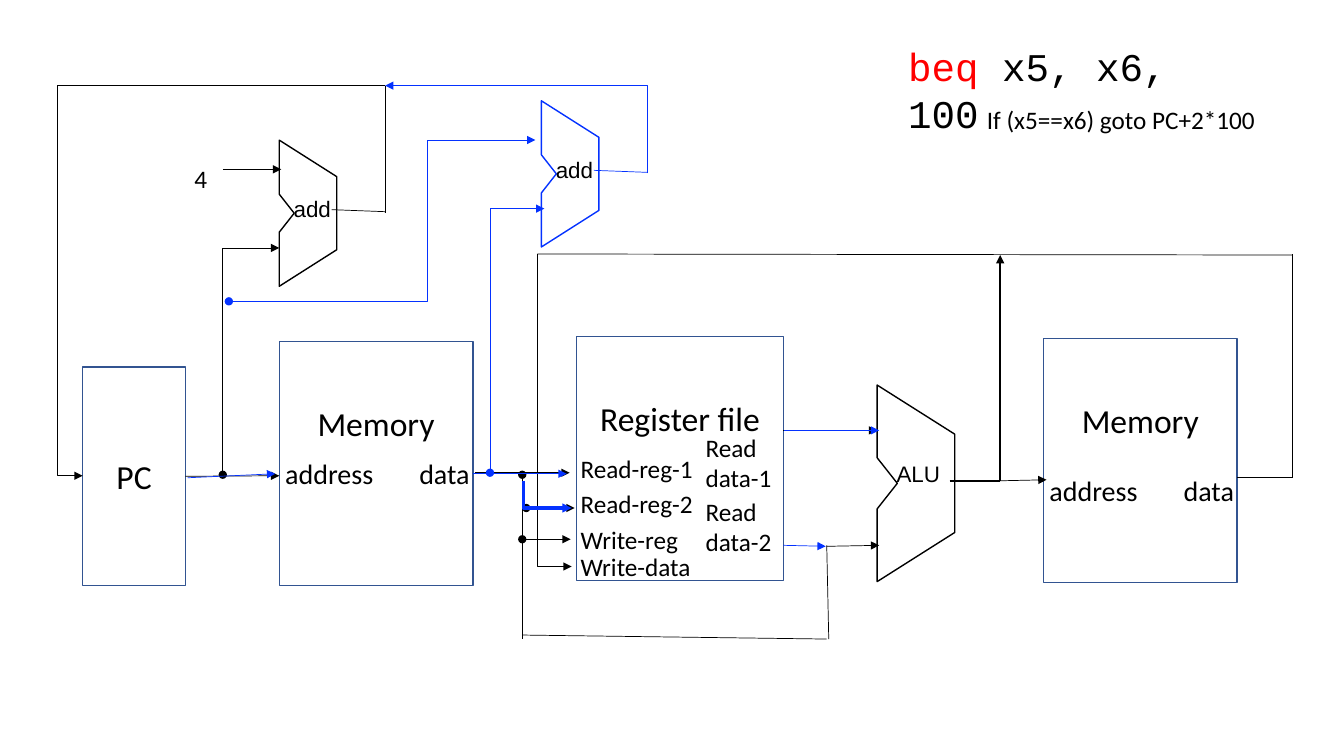
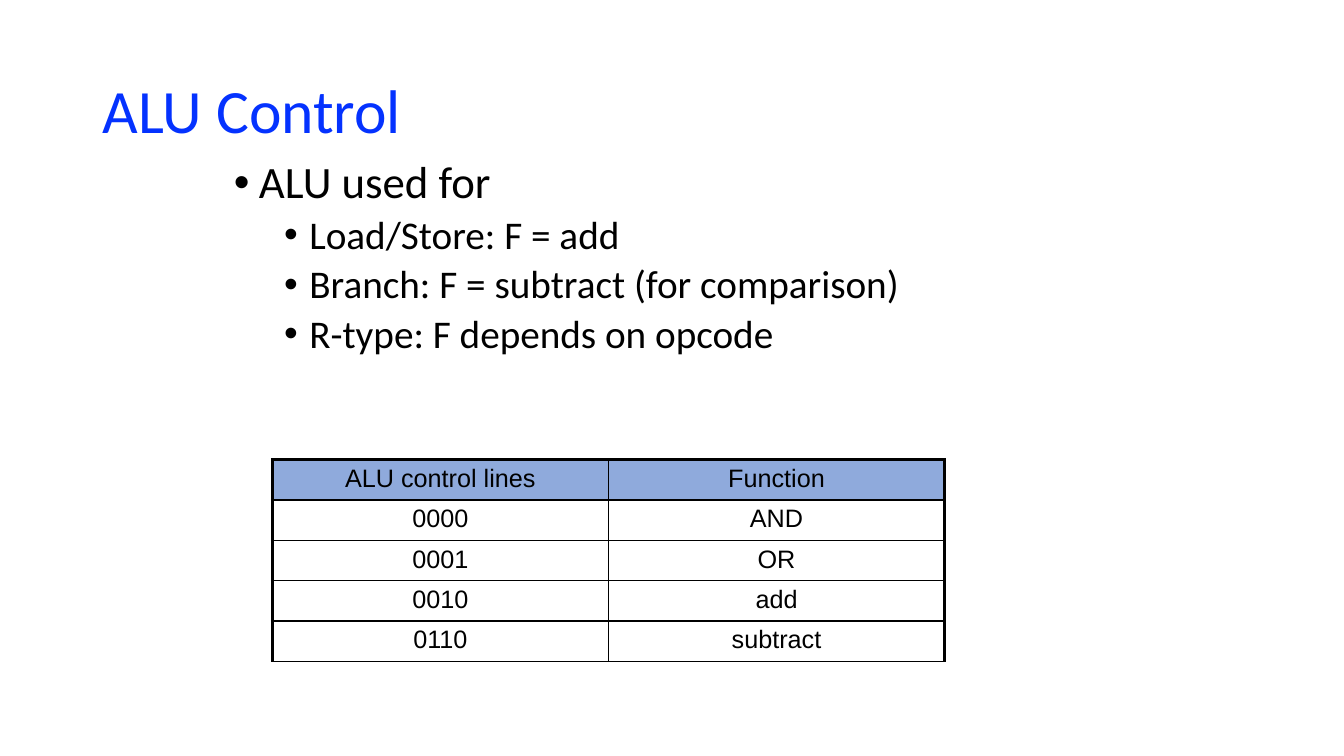
from dataclasses import dataclass

from pptx import Presentation
from pptx.dml.color import RGBColor
from pptx.enum.shapes import MSO_CONNECTOR as CONN, MSO_SHAPE as SHAPE
from pptx.enum.text import MSO_ANCHOR as ANCHOR, PP_ALIGN as ALIGN
from pptx.oxml.ns import qn
from pptx.util import Inches, Pt
from lxml.etree import SubElement


@dataclass(frozen=True)
class Theme:
    black: str = "000000"
    white: str = "FFFFFF"
    red: str = "FF0000"
    blue: str = "0432FF"
    outline: str = "325491"
    header: str = "8FAADC"
    body: str = "Calibri"
    sans: str = "Arial"
    mono: str = "Courier New"
    title: int = 44
    bullet: int = 32
    sub_bullet: int = 28
    block: int = 24
    port: int = 20
    label: int = 18
    unit: int = 16
    thin: float = 0.5
    medium: float = 1
    bold: float = 1.5
    heavy: float = 2.25


T = Theme()


def rgb(value):
    return RGBColor.from_string(value)


def write(tf, paras, size=T.label, font=T.body, color=T.black, align=None,
          spacing=None):
    """Fill a frame; each paragraph is a string or a list of (text, color)."""
    for i, para in enumerate(paras):
        p = tf.paragraphs[0] if i == 0 else tf.add_paragraph()
        p.alignment = align
        p.line_spacing = spacing
        for text, shade in [(para, color)] if isinstance(para, str) else para:
            r = p.add_run()
            r.text = text
            r.font.size, r.font.name = Pt(size), font
            r.font.color.rgb = rgb(shade)


def text(s, x, y, w, h, *paras, wrap=False, inset=True, anchor=ANCHOR.TOP,
         **fmt):
    tf = s.shapes.add_textbox(*map(Inches, (x, y, w, h))).text_frame
    tf.word_wrap, tf.vertical_anchor = wrap, anchor
    if not inset:
        tf.margin_left = tf.margin_right = tf.margin_top = tf.margin_bottom = 0
    write(tf, paras, **fmt)
    return tf


def block(s, x, y, w, h, label, raise_by=0):
    """White box with a centred label, lifted by a deeper bottom inset."""
    sp = s.shapes.add_shape(SHAPE.RECTANGLE, *map(Inches, (x, y, w, h)))
    sp.shadow.inherit = False
    sp.fill.solid()
    sp.fill.fore_color.rgb = rgb(T.white)
    sp.line.color.rgb, sp.line.width = rgb(T.outline), Pt(T.medium)
    tf = sp.text_frame
    tf.vertical_anchor = ANCHOR.MIDDLE
    tf.margin_bottom = Inches(0.05 + raise_by)
    write(tf, [label], size=T.block, align=ALIGN.CENTER)
    return sp


def wire(s, start, end, via=None, ends="", color=T.black, width=T.thin):
    """Line, or elbow with its upright at x = via; ends: o dot, > arrow."""
    kind = CONN.STRAIGHT if via is None else CONN.ELBOW
    c = s.shapes.add_connector(kind, *map(Inches, (*start, *end)))
    c.line.color.rgb, c.line.width = rgb(color), Pt(width)
    props = c._element.spPr
    if via is not None:
        share = (via - start[0]) / (end[0] - start[0])
        guides = props.find(qn("a:prstGeom")).get_or_add_avLst()
        SubElement(guides, qn("a:gd"), name="adj1",
                   fmla=f"val {round(share * 100000)}")
    ln = c.line._get_or_add_ln()
    for mark, tag, shape in (("o", "a:headEnd", "oval"),
                             (">", "a:tailEnd", "triangle")):
        if mark in ends:
            SubElement(ln, qn(tag), type=shape)
    SubElement(props, qn("a:effectLst"))
    return c


def wires(s, x, y, rows, **fmt):
    """Draw (x1, y1, x2, y2, ends, via) rows relative to the corner x, y."""
    for x1, y1, x2, y2, ends, via in rows:
        wire(s, (x + x1, y + y1), (x + x2, y + y2),
             None if via is None else x + via, ends, **fmt)


def arithmetic_unit(s, x, y, w, h, label, color=T.black):
    outline = [(0, 0), (1, 0.25), (1, 0.75), (0, 1), (0, 0.63), (0.26, 0.5),
               (0, 0.37)]
    pts = [(Inches(x + w * u), Inches(y + h * v)) for u, v in outline]
    fb = s.shapes.build_freeform(*pts[0])
    fb.add_line_segments(pts[1:], close=True)
    sp = fb.convert_to_shape()
    sp.shadow.inherit = False
    sp.fill.background()
    sp.line.color.rgb, sp.line.width = rgb(color), Pt(T.medium)
    text(s, x + w * 0.25, y + h * 0.38, 0.53, 0.27, label, inset=False,
         size=T.unit, font=T.sans)


def memory(s, x, y, port_y):
    block(s, x, y, 1.92, 2.42, "Memory", raise_by=0.81)
    text(s, x - 0.04, y + port_y, 1.09, 0.44, "address", size=T.port)
    text(s, x + 1.29, y + port_y, 0.71, 0.44, "data", size=T.port)


def register_file(s, x, y):
    block(s, x, y, 2.05, 2.42, "Register file", raise_by=0.81)
    for dy, name in ((1.11, "Read-reg-1"), (1.46, "Read-reg-2"),
                     (1.81, "Write-reg"), (2.08, "Write-data")):
        w = {"Write-reg": 1.18}.get(name, 1.33)
        text(s, x - 0.06, y + dy, w, 0.4, name)
    for dy, name in ((0.9, "data-1"), (1.53, "data-2")):
        text(s, x + 1.18, y + dy, 0.86, 0.71, "Read", name)


def fetch(s, x, y):
    """Program counter, instruction memory and the adder for the next PC."""
    pc = block(s, x + 0.25, y + 2.79, 1.02, 2.17, "PC")
    memory(s, x + 2.2, y + 2.54, 1.09)
    text(s, x + 1.26, y + 0.72, 0.33, 0.4, "4")
    arithmetic_unit(s, x + 2.2, y + 0.54, 0.57, 1.45, "add")
    wire(s, (x + 1.27, y + 3.87), (x + 2.2, y + 3.87),
         ends=">").begin_connect(pc, 3)
    wires(s, x, y, [
        (1.64, 3.86, 2.2, 1.61, "o>", 1.64),
        (1.64, 0.83, 2.22, 0.83, ">", None),
        (2.72, 1.23, 3.25, 1.25, "", None),
        (3.25, 1.26, 3.25, 0, "", None),
        (3.25, 0, 0.25, 3.87, ">", 0),
    ])
    wires(s, x, y, [(1.29, 3.89, 2.16, 3.85, ">", None)], color=T.blue)


def execute(s, x, y):
    """Registers, ALU and data memory, with the write-back loop."""
    register_file(s, x + 1.03, y + 0.82)
    arithmetic_unit(s, x + 4.01, y + 1.3, 0.77, 1.95, "ALU")
    memory(s, x + 5.66, y + 0.84, 1.29)
    wires(s, x, y, [
        (0.02, 2.17, 0.96, 2.17, ">", None),
        (3.08, 1.75, 4.01, 1.75, ">", None),
        (0.49, 2.19, 0.49, 3.82, "o", None),
        (3.51, 3.82, 0.49, 3.78, "", None),
        (3.51, 2.89, 3.53, 3.82, "", None),
        (3.51, 2.9, 4.03, 2.89, ">", None),
        (0.49, 2.83, 0.97, 2.83, "o>", None),
        (0.53, 2.52, 1.01, 2.52, "o>", None),
        (0.64, 0, 8.13, 0.01, "", None),
        (7.58, 2.22, 8.13, 2.22, "", None),
        (8.13, 2.22, 8.13, 0, "", None),
        (0.64, 0, 0.98, 3.1, ">", 0.64),
        (5.23, 2.25, 5.69, 2.24, ">", None),
    ])
    wires(s, x, y, [
        (4.73, 2.25, 5.23, 2.25, "", None),
        (5.23, 2.25, 5.23, 0.01, ">", None),
    ], width=T.bold)
    wires(s, x, y, [
        (3.08, 2.89, 3.5, 2.9, ">", None),
        (3.09, 1.75, 4.03, 1.75, ">", None),
        (0, 2.18, 0.93, 2.18, ">", None),
    ], color=T.blue)
    wires(s, x, y, [(0.5, 2.25, 0.98, 2.52, ">", 0.5)], color=T.blue,
          width=T.heavy)


def branch(s, x, y):
    """Adder for the branch target and its wires."""
    arithmetic_unit(s, x + 3.1, y + 0.15, 0.57, 1.45, "add", color=T.blue)
    wires(s, x, y, [
        (0, 2.14, 3.04, 0.54, "o>", 1.97),
        (2.59, 3.84, 3.13, 1.22, "o>", 2.59),
        (3.62, 0.84, 4.15, 0.86, "", None),
        (4.15, 0.87, 1.55, 0, ">", 4.15),
    ], color=T.blue)


def instruction(s, x, y):
    text(s, x, y, 3.44, 1.0, [("beq", T.red), (" x5, x6, 100", T.black)],
         wrap=True, size=T.sub_bullet, font=T.mono)
    text(s, x + 0.78, y + 0.62, 2.89, 0.4, "If (x5==x6) goto PC+2*100")


def bullet_list(s, x, y, w, h, items):
    """Bulleted text from (level, text) items."""
    tf = text(s, x, y, w, h, wrap=True)
    for i, (level, item) in enumerate(items):
        p = tf.paragraphs[0] if i == 0 else tf.add_paragraph()
        p.level, p.line_spacing = level, 0.9
        if i:
            p.space_before = Pt(5)
        ppr = p._p.get_or_add_pPr()
        ppr.set("marL", str(Inches(0.25 + 0.5 * level)))
        ppr.set("indent", str(Inches(-0.25)))
        SubElement(ppr, qn("a:buFont"), typeface=T.sans)
        SubElement(ppr, qn("a:buChar"), char="•")
        r = p.add_run()
        r.text = item
        r.font.name, r.font.color.rgb = T.body, rgb(T.black)
        r.font.size = Pt(T.sub_bullet if level else T.bullet)


def set_borders(cell, **widths):
    tcpr = cell._tc.get_or_add_tcPr()
    for i, side in enumerate("LRTB"):
        ln = SubElement(tcpr, qn(f"a:ln{side}"), w=str(Pt(widths[side])))
        fill = SubElement(ln, qn("a:solidFill"))
        SubElement(fill, qn("a:srgbClr"), val=T.black)
        tcpr.insert(i, ln)


def control_table(s, x, y, w, h, rows):
    n, m = len(rows), len(rows[0])
    table = s.shapes.add_table(n, m, *map(Inches, (x, y, w, h))).table
    table.first_row = table.horz_banding = False
    for i, row in enumerate(rows):
        for j, value in enumerate(row):
            cell = table.cell(i, j)
            if i == 0:
                cell.fill.solid()
                cell.fill.fore_color.rgb = rgb(T.header)
            else:
                cell.fill.background()
            write(cell.text_frame, [value], font=T.sans, align=ALIGN.CENTER)
            set_borders(cell, L=T.medium if j else T.heavy,
                        R=T.heavy if j == m - 1 else T.medium,
                        T={0: T.heavy, 1: T.bold}.get(i, T.medium),
                        B=T.medium if i else T.bold)


def datapath_slide(s):
    instruction(s, 8.91, 0.37)
    fetch(s, 0.57, 0.85)
    execute(s, 4.69, 2.52)
    branch(s, 2.27, 0.85)


def control_slide(s):
    text(s, 0.92, 0.4, 11.5, 1.45, "ALU Control", wrap=True, size=T.title,
         color=T.blue, anchor=ANCHOR.MIDDLE, spacing=0.9)
    bullet_list(s, 2.22, 1.54, 9.05, 2.6, [
        (0, "ALU used for"),
        (1, "Load/Store: F = add"),
        (1, "Branch: F = subtract (for comparison)"),
        (1, "R-type: F depends on opcode"),
    ])
    control_table(s, 2.7, 4.56, 6.67, 2, [
        ("ALU control lines", "Function"),
        ("0000", "AND"),
        ("0001", "OR"),
        ("0010", "add"),
        ("0110", "subtract"),
    ])


def main():
    prs = Presentation()
    prs.slide_width, prs.slide_height = Inches(13.33), Inches(7.5)
    for build in (datapath_slide, control_slide):
        build(prs.slides.add_slide(prs.slide_layouts[6]))
    prs.save("out.pptx")


if __name__ == "__main__":
    main()
